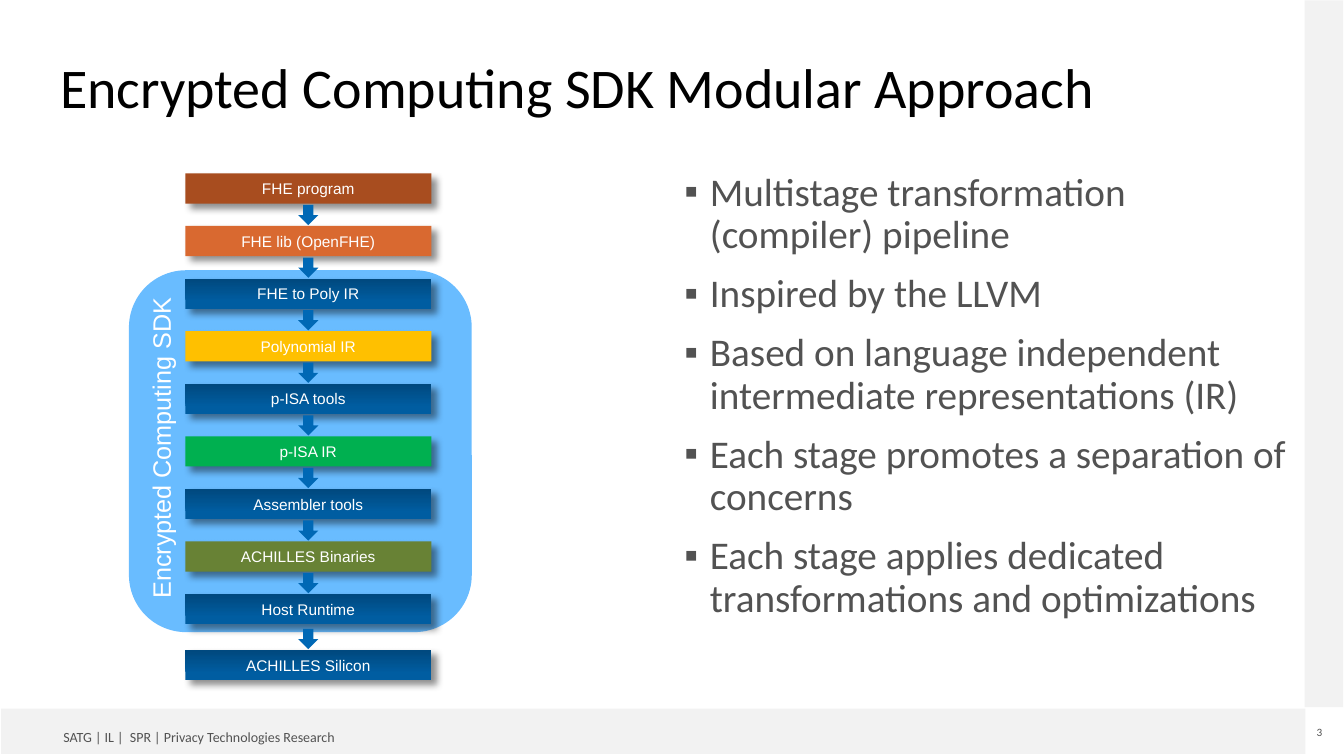
from lxml import etree
from pptx import Presentation
from pptx.dml.color import RGBColor
from pptx.enum.shapes import MSO_SHAPE
from pptx.enum.text import MSO_ANCHOR, MSO_AUTO_SIZE, PP_ALIGN
from pptx.oxml.ns import qn
from pptx.util import Cm, Pt

RECT, ROUND_RECT, DOWN_ARROW = MSO_SHAPE.RECTANGLE, MSO_SHAPE.ROUNDED_RECTANGLE, MSO_SHAPE.DOWN_ARROW
TOP, MIDDLE = MSO_ANCHOR.TOP, MSO_ANCHOR.MIDDLE
LEFT, CENTER = PP_ALIGN.LEFT, PP_ALIGN.CENTER
NO_AUTOFIT = MSO_AUTO_SIZE.NONE

BLACK = RGBColor(0x00, 0x00, 0x00)
WHITE = RGBColor(0xFF, 0xFF, 0xFF)
GREY_TEXT = RGBColor(0x52, 0x52, 0x52)
BAND_GREY = RGBColor(0xF2, 0xF2, 0xF2)
SDK_BLUE = RGBColor(0x69, 0xBC, 0xFF)
ARROW_BLUE = RGBColor(0x00, 0x68, 0xB5)
TOOL_BLUE = RGBColor(0x00, 0x5D, 0xA1)
TOOL_NAVY = RGBColor(0x00, 0x49, 0x7F)
BROWN = RGBColor(0xA8, 0x4D, 0x1F)
ORANGE = RGBColor(0xD9, 0x69, 0x30)
YELLOW = RGBColor(0xFF, 0xC0, 0x00)
GREEN = RGBColor(0x00, 0xB0, 0x50)
OLIVE = RGBColor(0x68, 0x82, 0x35)

prs = Presentation()
prs.slide_width, prs.slide_height = Cm(33.87), Cm(19.05)
slide = prs.slides.add_slide(prs.slide_layouts[1])


def add_filled(preset, left, top, width, height, color):
    shape = slide.shapes.add_shape(preset, Cm(left), Cm(top), Cm(width), Cm(height))
    shape.shadow.inherit = False
    shape.line.fill.background()
    shape.fill.solid()
    shape.fill.fore_color.rgb = color
    return shape


def write(paragraph, text, size, font, color, align):
    paragraph.alignment = align
    run = paragraph.add_run()
    run.text = text
    run.font.size = Pt(size)
    run.font.name = font
    run.font.color.rgb = color


add_filled(RECT, 0.03, 17.86, 32.87, 1.14, BAND_GREY)
add_filled(RECT, 32.88, 0.01, 0.97, 17.81, BAND_GREY)

footers = [
    ("SATG | IL |  SPR | Privacy Technologies Research", 10, LEFT, 1.6, 18.36, 7.75, 0.43),
    ("3", 8, CENTER, 33.07, 18.29, 0.36, 0.33),
]
for text, size, align, left, top, width, height in footers:
    footer = slide.shapes.add_textbox(Cm(left), Cm(top), Cm(width), Cm(height)).text_frame
    footer.margin_left = footer.margin_right = footer.margin_top = footer.margin_bottom = 0
    footer.word_wrap = False
    write(footer.paragraphs[0], text, size, "Calibri", GREY_TEXT, align)

title, body = slide.placeholders
title.left, title.top, title.width, title.height = Cm(1.52), Cm(1.52), Cm(30.48), Cm(2.54)
body.left, body.top, body.width, body.height = Cm(17.25), Cm(4.34), Cm(15.24), Cm(12.7)
for placeholder in (title, body):
    frame = placeholder.text_frame
    frame.margin_left = frame.margin_right = frame.margin_top = frame.margin_bottom = 0
    frame.vertical_anchor = TOP
    frame.word_wrap = True
    frame.auto_size = NO_AUTOFIT

heading = title.text_frame.paragraphs[0]
heading.line_spacing = 0.9
write(heading, "Encrypted Computing SDK Modular Approach", 40, "Calibri", BLACK, LEFT)

points = [
    "Multistage transformation (compiler) pipeline",
    "Inspired by the LLVM",
    "Based on language independent intermediate representations (IR)",
    "Each stage promotes a separation of concerns",
    "Each stage applies dedicated transformations and optimizations",
]
for index, text in enumerate(points):
    point = body.text_frame.add_paragraph() if index else body.text_frame.paragraphs[0]
    point.line_spacing = 0.9
    point.space_before = Pt(12)
    write(point, text, 28, "Calibri", GREY_TEXT, LEFT)
    properties = point._p.get_or_add_pPr()
    properties.set("marL", str(Cm(0.64)))
    properties.set("indent", str(-Cm(0.64)))
    etree.SubElement(properties, qn("a:buFont"), typeface="Arial")
    etree.SubElement(properties, qn("a:buChar"), char="▪")

sdk = add_filled(ROUND_RECT, 3.25, 6.81, 8.64, 9.12, SDK_BLUE)
sdk_label = sdk.text_frame
sdk_label.margin_left = sdk_label.margin_right = sdk_label.margin_top = 0
sdk_label.margin_bottom = Cm(0.15)
sdk_label.vertical_anchor = TOP
sdk.element.txBody.bodyPr.set("vert", "vert270")
write(sdk_label.paragraphs[0], "Encrypted Computing SDK", 18, "Arial", WHITE, CENTER)

STAGE_LEFT, STAGE_WIDTH, STAGE_HEIGHT = 4.67, 6.2, 0.76
FIRST_TOP, STAGE_PITCH, LAST_TOP = 4.37, 1.325, 16.38
ARROW_SIZE, ARROW_RISE = 0.51, 0.53
stages = [
    ("FHE program", BROWN),
    ("FHE lib (OpenFHE)", ORANGE),
    ("FHE to Poly IR", TOOL_BLUE),
    ("Polynomial IR", YELLOW),
    ("p-ISA tools", TOOL_BLUE),
    ("p-ISA IR", GREEN),
    ("Assembler tools", TOOL_BLUE),
    ("ACHILLES Binaries", OLIVE),
    ("Host Runtime", TOOL_BLUE),
    ("ACHILLES Silicon", TOOL_BLUE),
]
for index, (name, color) in enumerate(stages):
    top = LAST_TOP if index == len(stages) - 1 else FIRST_TOP + index * STAGE_PITCH
    stage = add_filled(RECT, STAGE_LEFT, top, STAGE_WIDTH, STAGE_HEIGHT, color)
    if color == TOOL_BLUE:
        stage.fill.gradient()
        stage.fill.gradient_angle = 90
        shades = zip(stage.fill.gradient_stops, (0.23, 0.97), (TOOL_BLUE, TOOL_NAVY))
        for stop, position, shade in shades:
            stop.position = position
            stop.color.rgb = shade

    effects = stage.element.spPr.find(qn("a:effectLst"))
    shadow = etree.SubElement(effects, qn("a:outerShdw"), blurRad=str(Pt(5)), dist=str(Pt(5)),
                              dir="2700000", algn="tl", rotWithShape="0")
    shadow_color = etree.SubElement(shadow, qn("a:srgbClr"), val=str(BLACK))
    etree.SubElement(shadow_color, qn("a:alpha"), val="44000")

    label = stage.text_frame
    label.margin_left = label.margin_right = label.margin_top = label.margin_bottom = Cm(0.15)
    label.vertical_anchor = MIDDLE
    write(label.paragraphs[0], name, 11, "Arial", WHITE, CENTER)

    if index:
        arrow_left = STAGE_LEFT + (STAGE_WIDTH - ARROW_SIZE) / 2
        add_filled(DOWN_ARROW, arrow_left, top - ARROW_RISE, ARROW_SIZE, ARROW_SIZE, ARROW_BLUE)

prs.save("out.pptx")
